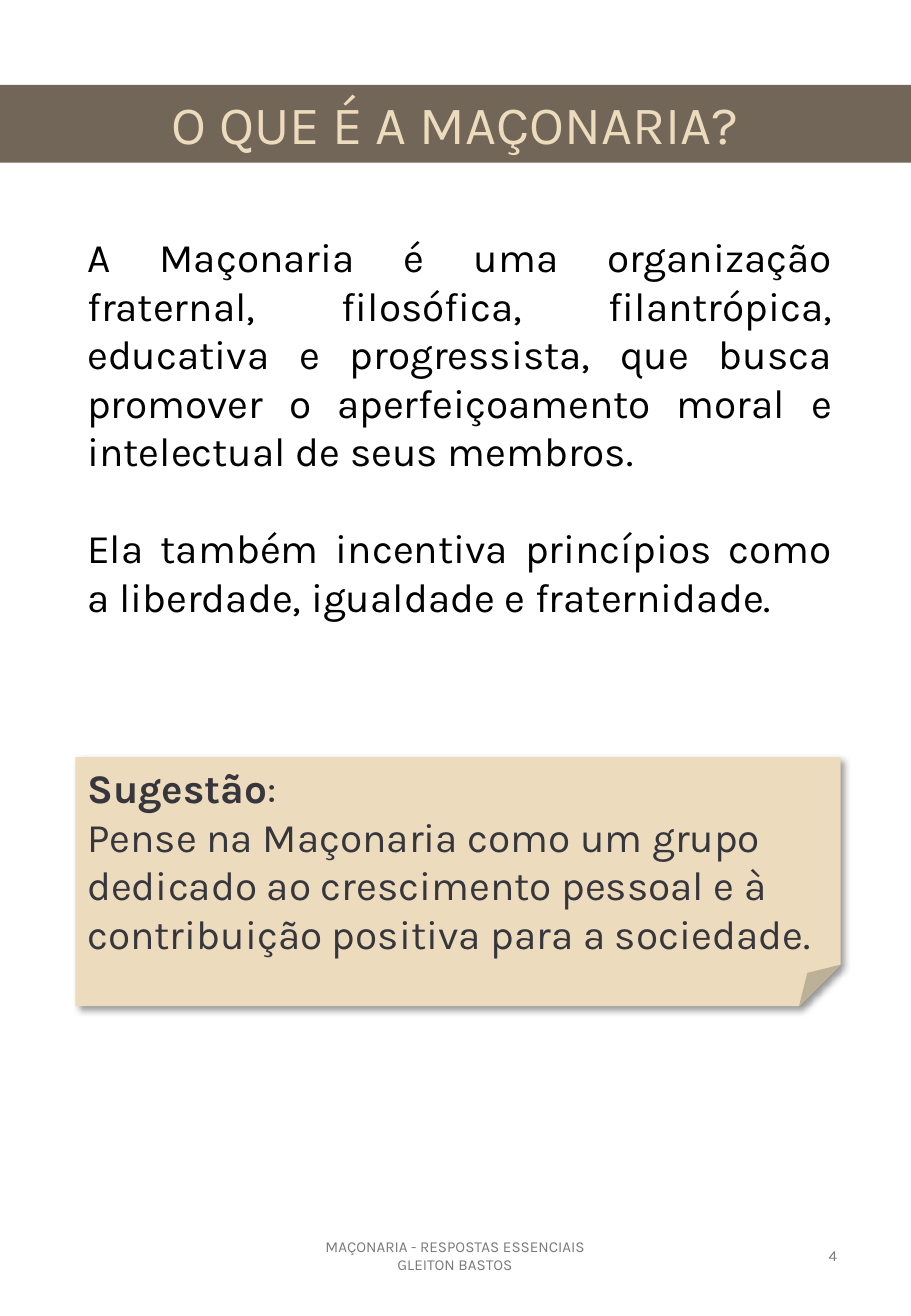
from dataclasses import dataclass
from typing import Optional

from lxml.etree import SubElement
from pptx import Presentation
from pptx.dml.color import RGBColor
from pptx.enum.shapes import MSO_SHAPE as Preset
from pptx.enum.text import MSO_ANCHOR as Anchor, PP_ALIGN as Align
from pptx.oxml.ns import qn
from pptx.util import Inches, Pt

# Page and palette
PAGE_WIDTH, PAGE_HEIGHT = Inches(7.5), Inches(10.83)
FONT = "Karla"
BLACK = RGBColor(0x00, 0x00, 0x00)
BROWN = RGBColor(0x71, 0x66, 0x57)
SAND = RGBColor(0xEC, 0xDC, 0xBD)
CHARCOAL = RGBColor(0x37, 0x36, 0x3D)
GRAY = RGBColor(0x79, 0x79, 0x79)

# Shared positions, in percent of the page
MARGIN = 8.27
FOOTER_TOP, FOOTER_HEIGHT = 92.71, 5.36


@dataclass(frozen=True)
class Area:
    """Left, top, width and height in percent of the page."""
    left: float
    top: float
    width: float
    height: float

    def lengths(self) -> tuple[int, int, int, int]:
        return (int(PAGE_WIDTH * self.left / 100), int(PAGE_HEIGHT * self.top / 100),
                int(PAGE_WIDTH * self.width / 100), int(PAGE_HEIGHT * self.height / 100))


@dataclass(frozen=True)
class Run:
    text: str
    bold: bool = False


@dataclass(frozen=True)
class Block:
    area: Area
    paragraphs: list[list[Run]]
    size: float
    color: RGBColor
    align: Align = Align.LEFT
    anchor: Anchor = Anchor.TOP
    gap: float = 0
    preset: Optional[Preset] = None
    fill: Optional[RGBColor] = None
    shadow: bool = False


def write(frame, paragraphs: list[list[Run]], *, size: float, color: RGBColor,
          align: Align, anchor: Anchor, gap: float) -> None:
    frame.word_wrap = True
    frame.vertical_anchor = anchor
    for index, runs in enumerate(paragraphs):
        paragraph = frame.add_paragraph() if index else frame.paragraphs[0]
        paragraph.alignment = align
        if index and gap:
            paragraph.space_before = Pt(gap)
        for part in runs:
            run = paragraph.add_run()
            run.text = part.text
            run.font.name, run.font.size = FONT, Pt(size)
            run.font.bold = part.bold
            run.font.color.rgb = color


def cast_shadow(shape) -> None:
    effects = shape._element.spPr.find(qn("a:effectLst"))
    outer = SubElement(effects, qn("a:outerShdw"), blurRad=str(Pt(4)), dist=str(Pt(3)),
                       dir=str(45 * 60000), algn="tl", rotWithShape="0")
    tint = SubElement(outer, qn("a:srgbClr"), val=str(BLACK))
    SubElement(tint, qn("a:alpha"), val="40000")


def draw(slide, block: Block) -> None:
    if block.preset is None:
        shape = slide.shapes.add_textbox(*block.area.lengths())
    else:
        shape = slide.shapes.add_shape(block.preset, *block.area.lengths())
        shape.fill.solid()
        shape.fill.fore_color.rgb = block.fill
        shape.line.fill.background()
        shape.shadow.inherit = False
        if block.shadow:
            cast_shadow(shape)
    write(shape.text_frame, block.paragraphs, size=block.size, color=block.color,
          align=block.align, anchor=block.anchor, gap=block.gap)


BLOCKS = [
    # Definition
    Block(Area(MARGIN, 17.17, 84.4, 34.53), [
        [Run("A Maçonaria é uma organização fraternal, filosófica, filantrópica, educativa e "
             "progressista, que busca promover o aperfeiçoamento moral e intelectual de seus "
             "membros.")],
        [Run("Ela também incentiva princípios como a liberdade, igualdade e fraternidade.")],
    ], 24, BLACK, Align.JUSTIFY, gap=28.75),
    # Title band
    Block(Area(0, 6.46, 100, 5.91), [[Run("O QUE É A MAÇONARIA?")]], 32, SAND,
          Align.CENTER, preset=Preset.RECTANGLE, fill=BROWN),
    # Footer and page number
    Block(Area(33.07, FOOTER_TOP, 33.73, FOOTER_HEIGHT),
          [[Run("MAÇONARIA - RESPOSTAS ESSENCIAIS GLEITON BASTOS")]], 9, GRAY,
          Align.CENTER, Anchor.MIDDLE),
    Block(Area(70.67, FOOTER_TOP, 22.53, FOOTER_HEIGHT), [[Run("4")]], 9, GRAY,
          Align.RIGHT, Anchor.MIDDLE),
    # Suggestion note
    Block(Area(MARGIN, 57.53, 84, 18.93), [
        [Run("Sugestão", bold=True), Run(":")],
        [Run("Pense na Maçonaria como um grupo dedicado ao crescimento pessoal e à "
             "contribuição positiva para a sociedade.")],
    ], 24, CHARCOAL, preset=Preset.FOLDED_CORNER, fill=SAND, shadow=True),
]


def main() -> None:
    deck = Presentation()
    deck.slide_width, deck.slide_height = PAGE_WIDTH, PAGE_HEIGHT
    slide = deck.slides.add_slide(deck.slide_layouts[6])
    for block in BLOCKS:
        draw(slide, block)
    deck.save("out.pptx")


if __name__ == "__main__":
    main()
